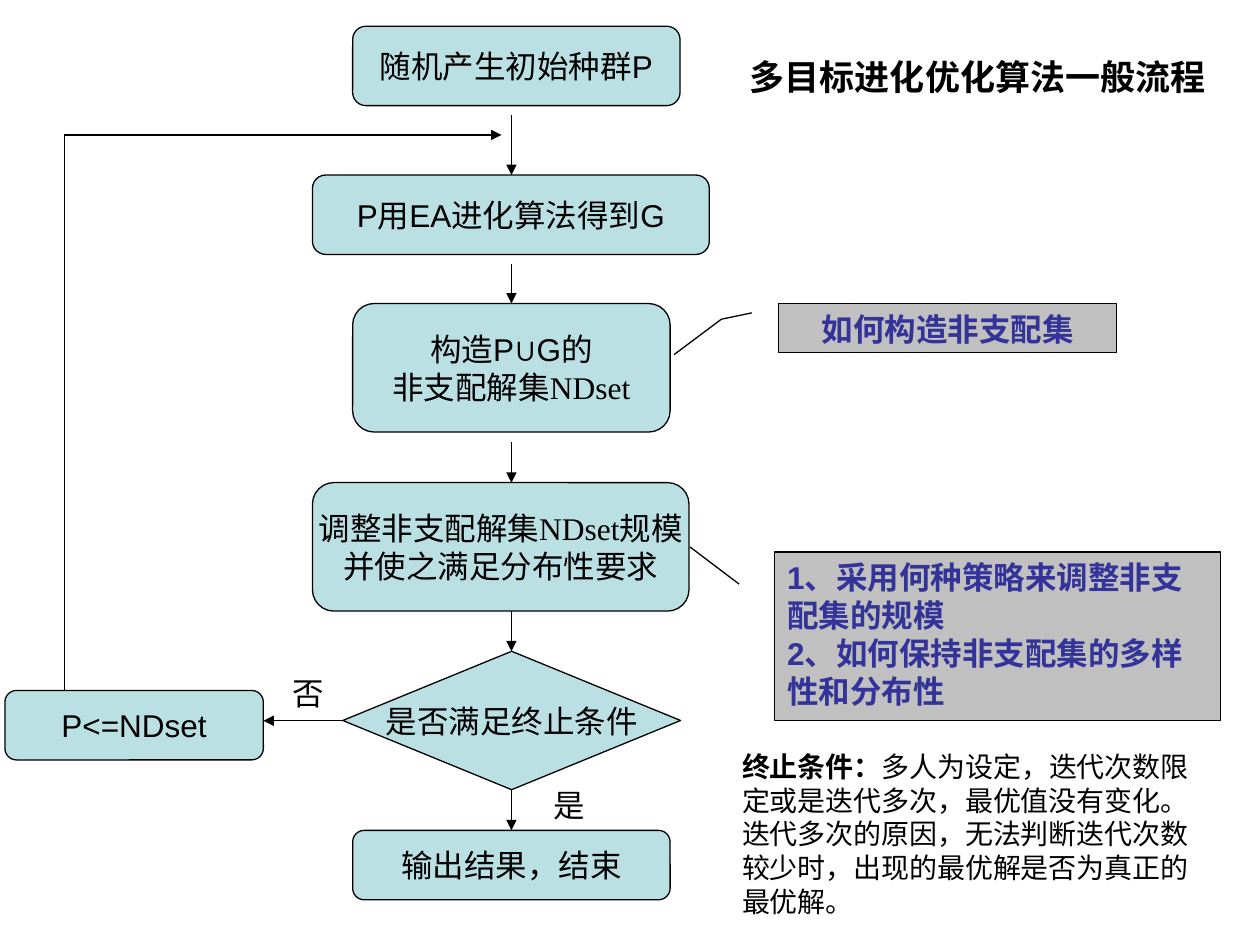
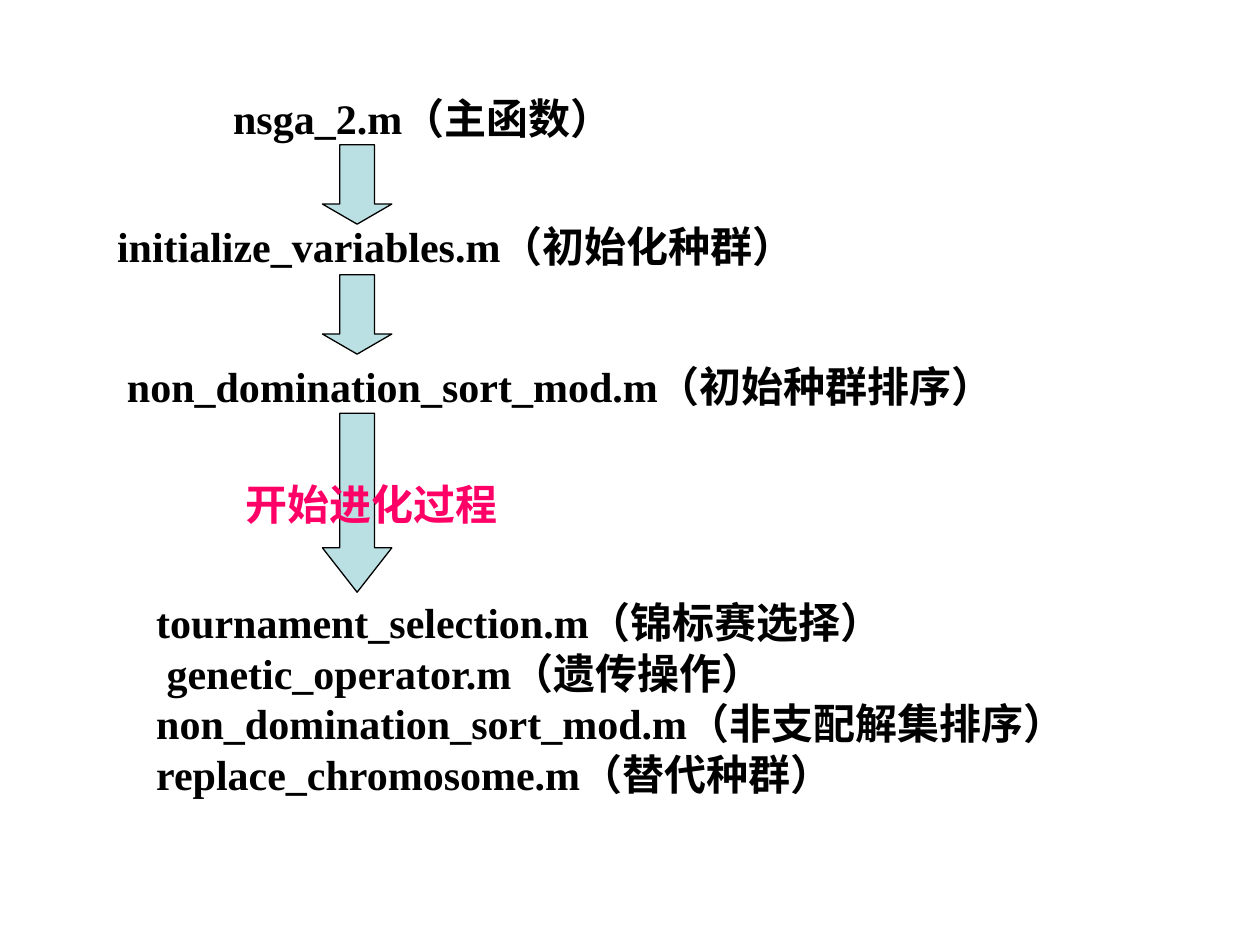
from dataclasses import dataclass
from typing import Optional

from lxml.etree import SubElement
from pptx import Presentation
from pptx.dml.color import RGBColor
from pptx.enum.shapes import MSO_CONNECTOR, MSO_SHAPE
from pptx.enum.text import MSO_ANCHOR, PP_ALIGN
from pptx.oxml.ns import qn
from pptx.util import Cm, Pt

COLORS = {
    "ink": "000000",
    "step": "BBE0E3",
    "callout": "C0C0C0",
    "question": "333399",
    "highlight": "FF0066",
}
SANS = "Arial"
SERIF = "Times New Roman"
LINE_WIDTH = Pt(0.75)


@dataclass(frozen=True)
class Span:
    text: str
    font: Optional[str] = None
    bold: Optional[bool] = None


@dataclass(frozen=True)
class Line:
    spans: tuple[Span, ...]
    indent: float = 0


@dataclass(frozen=True)
class TextStyle:
    size: int = 18
    font: str = SANS
    color: str = "ink"
    bold: bool = False
    align: PP_ALIGN = PP_ALIGN.LEFT


@dataclass(frozen=True)
class Area:
    left: float
    top: float
    width: float
    height: float

    def lengths(self) -> tuple:
        return Cm(self.left), Cm(self.top), Cm(self.width), Cm(self.height)


@dataclass(frozen=True)
class Block:
    area: Area
    lines: tuple[Line, ...] = ()
    kind: MSO_SHAPE = MSO_SHAPE.FLOWCHART_ALTERNATE_PROCESS
    adjustments: tuple[float, ...] = ()


@dataclass(frozen=True)
class Link:
    start: tuple[float, float]
    end: tuple[float, float]
    arrow: bool = True


def plain(*texts: str) -> tuple[Line, ...]:
    return tuple(Line((Span(text),)) for text in texts)


STEP_STYLE = TextStyle(align=PP_ALIGN.CENTER)
LABEL_STYLE = TextStyle()
TITLE_STYLE = TextStyle(size=20, bold=True, align=PP_ALIGN.RIGHT)
NOTE_STYLE = TextStyle(size=16)
FILE_STYLE = TextStyle(size=24, font=SERIF, bold=True)
PHASE_STYLE = TextStyle(size=24, font=SERIF, color="highlight", bold=True)

# General procedure of the algorithm
TITLE = plain("多目标进化优化算法一般流程")
TITLE_AREA = Area(1.7, 0.53, 22.86, 2.01)
NDSET = Span("NDset", font=SERIF)
STEPS = (
    Block(Area(7.11, 0.53, 6.6, 1.6), plain("随机产生初始种群P")),
    Block(Area(6.3, 3.53, 8, 1.6), plain("P用EA进化算法得到G")),
    Block(Area(7.11, 6.12, 6.4, 2.59),
          plain("构造P∪G的") + (Line((Span("非支配解集"), NDSET)),)),
    Block(Area(6.3, 9.73, 7.59, 2.59),
          (Line((Span("调整非支配解集"), NDSET, Span("规模"))),)
          + plain("并使之满足分布性要求")),
    Block(Area(6.91, 13.13, 6.81, 2.79), plain("是否满足终止条件"),
          MSO_SHAPE.FLOWCHART_DECISION),
    Block(Area(0.1, 13.92, 5.21, 1.4), plain("P<=NDset")),
    Block(Area(7.11, 16.74, 6.4, 1.4), plain("输出结果，结束")),
)
AXIS_X, LOOP_X, LOOP_Y, BRANCH_Y = 10.31, 1.3, 2.72, 14.53
DOWN_SPANS = ((2.31, 3.53), (5.33, 6.12), (8.92, 9.73), (12.32, 13.13), (15.92, 16.74))
LINKS = tuple(Link((AXIS_X, top), (AXIS_X, bottom)) for top, bottom in DOWN_SPANS) + (
    Link((6.91, BRANCH_Y), (5.31, BRANCH_Y)),
    Link((LOOP_X, LOOP_Y), (LOOP_X, 13.92), arrow=False),
    Link((LOOP_X, LOOP_Y), (10.11, LOOP_Y)),
)
BRANCH_LABELS = (
    Block(Area(10.9, 15.72, 1.93, 1.02), plain("是")),
    Block(Area(5.64, 13.46, 1.47, 1.02), plain("否")),
)
CALLOUTS = (
    (Block(Area(15.7, 6.12, 6.81, 0.99), plain("如何构造非支配集"),
           MSO_SHAPE.LINE_CALLOUT_2, (0.19, -0.08, 0.32, -0.17, 1.04, -0.31)),
     PP_ALIGN.CENTER),
    (Block(Area(15.62, 11.13, 8.99, 3.4),
           plain("1、采用何种策略来调整非支配集的规模", "2、如何保持非支配集的多样性和分布性"),
           MSO_SHAPE.LINE_CALLOUT_1, (0.19, -0.08, -0.03, -0.19)),
     PP_ALIGN.LEFT),
)
STOP_NOTE = Block(Area(14.71, 14.99, 9.8, 3.66), (Line((
    Span("终止条件：", bold=True),
    Span("多人为设定，迭代次数限定或是迭代多次，最优值没有变化。"
         "迭代多次的原因，无法判断迭代次数较少时，出现的最优解是否为真正的最优解。"),
)),))

# Order of the program files
DOWN_ARROWS = tuple(
    Block(Area(6.5, top, 1.4, height), kind=MSO_SHAPE.DOWN_ARROW, adjustments=(0.5, head))
    for top, height, head in ((2.92, 1.6, 0.29), (5.54, 1.6, 0.29), (8.33, 3.61, 0.64))
)
FILES = (
    Block(Area(4.45, 1.75, 15.67, 2.29), plain("nsga_2.m（主函数）")),
    Block(Area(2.11, 4.32, 22, 1.27), plain("initialize_variables.m（初始化种群）")),
    Block(Area(2.31, 7.14, 18.39, 1.27), plain("non_domination_sort_mod.m（初始种群排序）")),
    Block(Area(2.9, 11.91, 19, 5.33),
          plain("tournament_selection.m（锦标赛选择）")
          + (Line((Span("genetic_operator.m（遗传操作）"),), indent=0.21),)
          + plain("non_domination_sort_mod.m（非支配解集排序）",
                  "replace_chromosome.m（替代种群）")),
)
PHASE = Block(Area(4.7, 9.53, 6.4, 1.27), plain("开始进化过程"))


def color(name: str) -> RGBColor:
    return RGBColor.from_string(COLORS[name])


def write(frame, lines: tuple[Line, ...], style: TextStyle) -> None:
    for index, line in enumerate(lines):
        para = frame.paragraphs[0] if index == 0 else frame.add_paragraph()
        para.alignment = style.align
        if line.indent:
            para._p.get_or_add_pPr().set("marL", str(Cm(line.indent)))
        para.font.size = Pt(style.size)
        para.font.name = style.font
        para.font.bold = style.bold
        para.font.color.rgb = color(style.color)
        for span in line.spans:
            run = para.add_run()
            run.text = span.text
            if span.font:
                run.font.name = span.font
            if span.bold is not None:
                run.font.bold = span.bold


def draw_block(page, block: Block, fill: str, style: TextStyle,
               wrap: bool = False, anchor: MSO_ANCHOR = MSO_ANCHOR.MIDDLE) -> None:
    shape = page.shapes.add_shape(block.kind, *block.area.lengths())
    shape.shadow.inherit = False
    shape.fill.solid()
    shape.fill.fore_color.rgb = color(fill)
    shape.line.color.rgb = color("ink")
    shape.line.width = LINE_WIDTH
    for index, value in enumerate(block.adjustments):
        shape.adjustments[index] = value
    frame = shape.text_frame
    frame.word_wrap = wrap
    frame.vertical_anchor = anchor
    write(frame, block.lines, style)


def draw_text(page, block: Block, style: TextStyle) -> None:
    frame = page.shapes.add_textbox(*block.area.lengths()).text_frame
    frame.word_wrap = True
    write(frame, block.lines, style)


def draw_link(page, link: Link) -> None:
    ends = [Cm(value) for value in link.start + link.end]
    connector = page.shapes.add_connector(MSO_CONNECTOR.STRAIGHT, *ends)
    connector.line.color.rgb = color("ink")
    connector.line.width = LINE_WIDTH
    if link.arrow:
        SubElement(connector.line._get_or_add_ln(), qn("a:tailEnd"), type="triangle")
    SubElement(connector._element.spPr, qn("a:effectLst"))


def draw_title(page) -> None:
    title = page.shapes.title
    title.left, title.top, title.width, title.height = TITLE_AREA.lengths()
    title.text_frame.vertical_anchor = MSO_ANCHOR.MIDDLE
    write(title.text_frame, TITLE, TITLE_STYLE)


def build_procedure(deck) -> None:
    page = deck.slides.add_slide(deck.slide_layouts.get_by_name("Title Only"))
    draw_title(page)
    for step in STEPS:
        draw_block(page, step, "step", STEP_STYLE)
    for link in LINKS:
        draw_link(page, link)
    for label in BRANCH_LABELS:
        draw_text(page, label, LABEL_STYLE)
    for callout, align in CALLOUTS:
        style = TextStyle(color="question", bold=True, align=align)
        draw_block(page, callout, "callout", style, wrap=True, anchor=MSO_ANCHOR.TOP)
    draw_text(page, STOP_NOTE, NOTE_STYLE)


def build_file_order(deck) -> None:
    page = deck.slides.add_slide(deck.slide_layouts.get_by_name("Blank"))
    for arrow in DOWN_ARROWS:
        draw_block(page, arrow, "step", STEP_STYLE)
    for file in FILES:
        draw_text(page, file, FILE_STYLE)
    draw_text(page, PHASE, PHASE_STYLE)


def main() -> None:
    deck = Presentation()
    deck.slide_width, deck.slide_height = Cm(25.4), Cm(19.05)
    build_procedure(deck)
    build_file_order(deck)
    deck.save("out.pptx")


if __name__ == "__main__":
    main()
